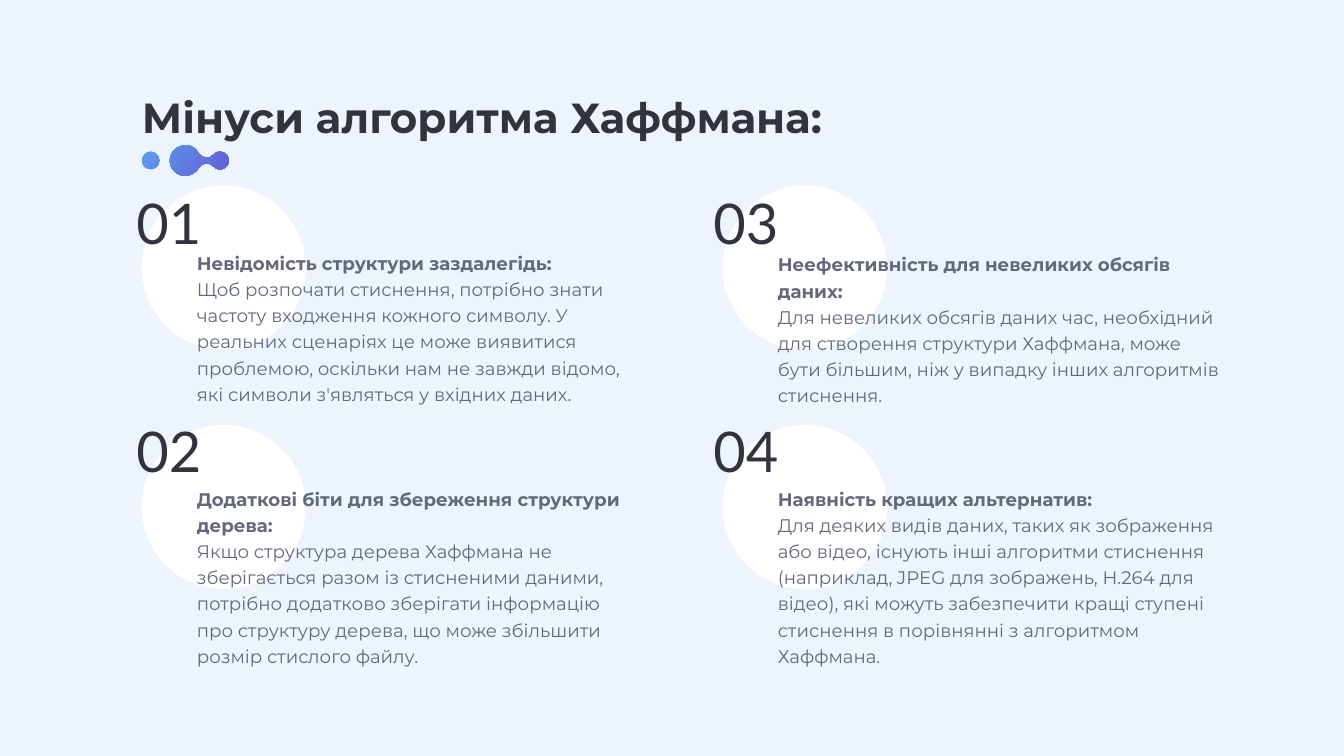
from lxml import etree
from pptx import Presentation
from pptx.dml.color import RGBColor
from pptx.enum.shapes import MSO_SHAPE
from pptx.enum.text import MSO_ANCHOR, MSO_AUTO_SIZE, PP_ALIGN
from pptx.oxml.ns import qn
from pptx.util import Inches, Pt

BACKGROUND = RGBColor(0xED, 0xF4, 0xFD)
WHITE = RGBColor(0xFF, 0xFF, 0xFF)
DARK = RGBColor(0x31, 0x33, 0x3D)
GREY = RGBColor(0x64, 0x69, 0x79)
BLUE = RGBColor(0x5E, 0x9E, 0xEE)
VIOLET = RGBColor(0x63, 0x5E, 0xD6)

CIRCLE_SIZE = 3.26
BODY_INDENT = 1.04

# Circle left, number left
LEFT_COLUMN = (2.81, 2.65)
RIGHT_COLUMN = (14.34, 14.1)
# Circle top, number top
TOP_ROW = (3.68, 3.68)
BOTTOM_ROW = (8.43, 8.2)

# Column, row, body (top, width, height), heading, description
CARDS = [
    (LEFT_COLUMN, TOP_ROW, (4.86, 8.62, 3.7),
     "Невідомість структури заздалегідь:",
     "Щоб розпочати стиснення, потрібно знати частоту входження кожного символу. "
     "У реальних сценаріях це може виявитися проблемою, оскільки нам не завжди "
     "відомо, які символи з'являться у вхідних даних."),
    (LEFT_COLUMN, BOTTOM_ROW, (9.54, 8.89, 3.7),
     "Додаткові біти для збереження структури дерева:",
     "Якщо структура дерева Хаффмана не зберігається разом із стисненими даними, "
     "потрібно додатково зберігати інформацію про структуру дерева, що може "
     "збільшити розмір стислого файлу."),
    (RIGHT_COLUMN, TOP_ROW, (4.89, 8.89, 3.18),
     "Неефективність для невеликих обсягів даних:",
     "Для невеликих обсягів даних час, необхідний для створення структури "
     "Хаффмана, може бути більшим, ніж у випадку інших алгоритмів стиснення."),
    (RIGHT_COLUMN, BOTTOM_ROW, (9.54, 8.89, 3.7),
     "Наявність кращих альтернатив:",
     "Для деяких видів даних, таких як зображення або відео, існують інші "
     "алгоритми стиснення (наприклад, JPEG для зображень, H.264 для відео), які "
     "можуть забезпечити кращі ступені стиснення в порівнянні з алгоритмом "
     "Хаффмана."),
]

# Bezier outlines: a start, then control, control, end for each curve
DROPS = [
    (3.69, 2.88),
    (3.51, 2.88), (3.37, 3.01), (3.37, 3.19),
    (3.37, 3.35), (3.5, 3.49), (3.67, 3.49),
    (3.78, 3.49), (3.89, 3.43), (3.95, 3.33),
    (3.97, 3.29), (4.01, 3.26), (4.06, 3.25),
    (4.12, 3.23), (4.19, 3.25), (4.23, 3.3),
    (4.34, 3.42), (4.54, 3.35), (4.54, 3.19),
    (4.54, 3.02), (4.34, 2.95), (4.23, 3.07),
    (4.2, 3.11), (4.15, 3.13), (4.1, 3.13),
    (4.03, 3.13), (3.98, 3.09), (3.94, 3.04),
    (3.89, 2.94), (3.8, 2.88), (3.69, 2.88),
]
DOT = [
    (2.99, 3.01),
    (2.94, 3.01), (2.9, 3.03), (2.87, 3.06),
    (2.8, 3.13), (2.8, 3.24), (2.87, 3.31),
    (2.93, 3.37), (3.04, 3.37), (3.11, 3.31),
    (3.18, 3.24), (3.18, 3.13), (3.11, 3.06),
    (3.08, 3.03), (3.03, 3.01), (2.99, 3.01),
]


def add_text(slide, place, paragraphs, *, font, size, color, bold_first=False,
             align=PP_ALIGN.LEFT, anchor=MSO_ANCHOR.TOP, spacing=None):
    box = slide.shapes.add_textbox(*map(Inches, place))
    frame = box.text_frame
    frame.word_wrap = True
    frame.auto_size = MSO_AUTO_SIZE.SHAPE_TO_FIT_TEXT
    frame.vertical_anchor = anchor
    frame.margin_left = frame.margin_right = Pt(4)
    frame.margin_top = frame.margin_bottom = Pt(4)
    for index, text in enumerate(paragraphs):
        para = frame.add_paragraph() if index else frame.paragraphs[0]
        para.alignment = align
        para.line_spacing = spacing
        span = para.add_run()
        span.text = text
        span.font.name = font
        span.font.size = Pt(size)
        span.font.bold = bold_first and index == 0
        span.font.color.rgb = color


def add_circle(slide, left, top):
    circle = slide.shapes.add_shape(MSO_SHAPE.OVAL, Inches(left), Inches(top),
                                    Inches(CIRCLE_SIZE), Inches(CIRCLE_SIZE))
    circle.shadow.inherit = False
    circle.fill.solid()
    circle.fill.fore_color.rgb = WHITE
    circle.line.fill.background()


def curve_segments(shape):
    """Turn every three line segments into one cubic Bezier segment."""
    lines = list(shape.element.iter(qn("a:lnTo")))
    for index in range(0, len(lines), 3):
        curve = etree.Element(qn("a:cubicBezTo"))
        lines[index].addprevious(curve)
        for line in lines[index:index + 3]:
            curve.append(line[0])
            line.getparent().remove(line)


def add_ornament(slide):
    drops, dot = ([(Inches(x), Inches(y)) for x, y in outline]
                  for outline in (DROPS, DOT))
    builder = slide.shapes.build_freeform(*drops[0])
    builder.add_line_segments(drops[1:], close=True)
    builder.move_to(*dot[0])
    builder.add_line_segments(dot[1:], close=True)
    ornament = builder.convert_to_shape()
    curve_segments(ornament)
    ornament.shadow.inherit = False
    ornament.line.fill.background()
    ornament.fill.gradient()
    ornament.fill.gradient_angle = 360 - 34
    for stop, color in zip(ornament.fill.gradient_stops, (BLUE, VIOLET)):
        stop.color.rgb = color


def add_card(slide, number, column, row, body, heading, description):
    circle_left, number_left = column
    circle_top, number_top = row
    add_circle(slide, circle_left, circle_top)
    add_text(slide, (number_left, number_top, 2.37, 1.46), [f"{number:02}"],
             font="Lato", size=80, color=DARK, anchor=MSO_ANCHOR.MIDDLE)
    add_text(slide, (circle_left + BODY_INDENT, *body), [heading, description],
             font="Montserrat", size=26, color=GREY, bold_first=True, spacing=1.2)


def main():
    deck = Presentation()
    deck.slide_width = Inches(26.67)
    deck.slide_height = Inches(15)
    page = deck.slides.add_slide(deck.slide_layouts[6])
    page.background.fill.solid()
    page.background.fill.fore_color.rgb = BACKGROUND

    # Title and ornament
    add_text(page, (2.65, 1.76, 13.82, 1.12), ["Мінуси алгоритма Хаффмана:"],
             font="Montserrat", size=60, color=DARK, bold_first=True,
             align=PP_ALIGN.CENTER, anchor=MSO_ANCHOR.MIDDLE)
    add_ornament(page)

    # Numbered cards
    for number, card in enumerate(CARDS, start=1):
        add_card(page, number, *card)

    deck.save("out.pptx")


if __name__ == "__main__":
    main()
